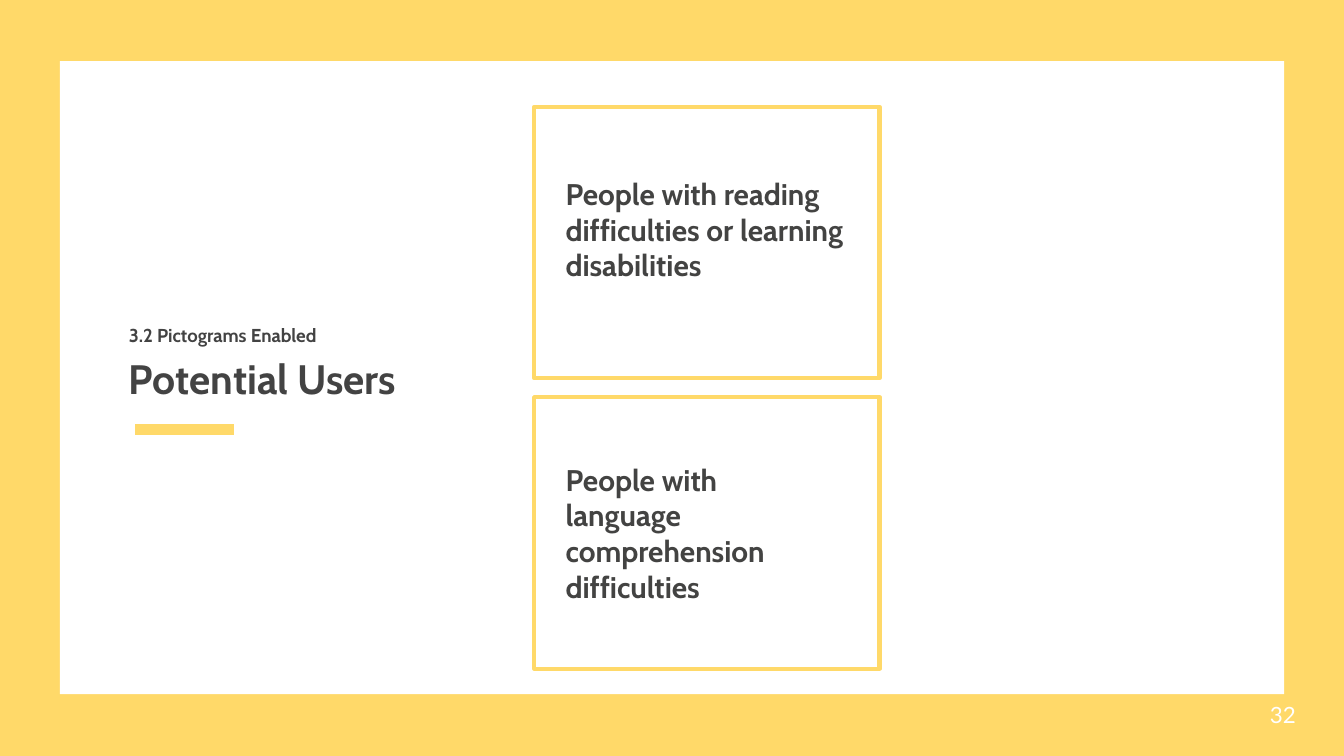
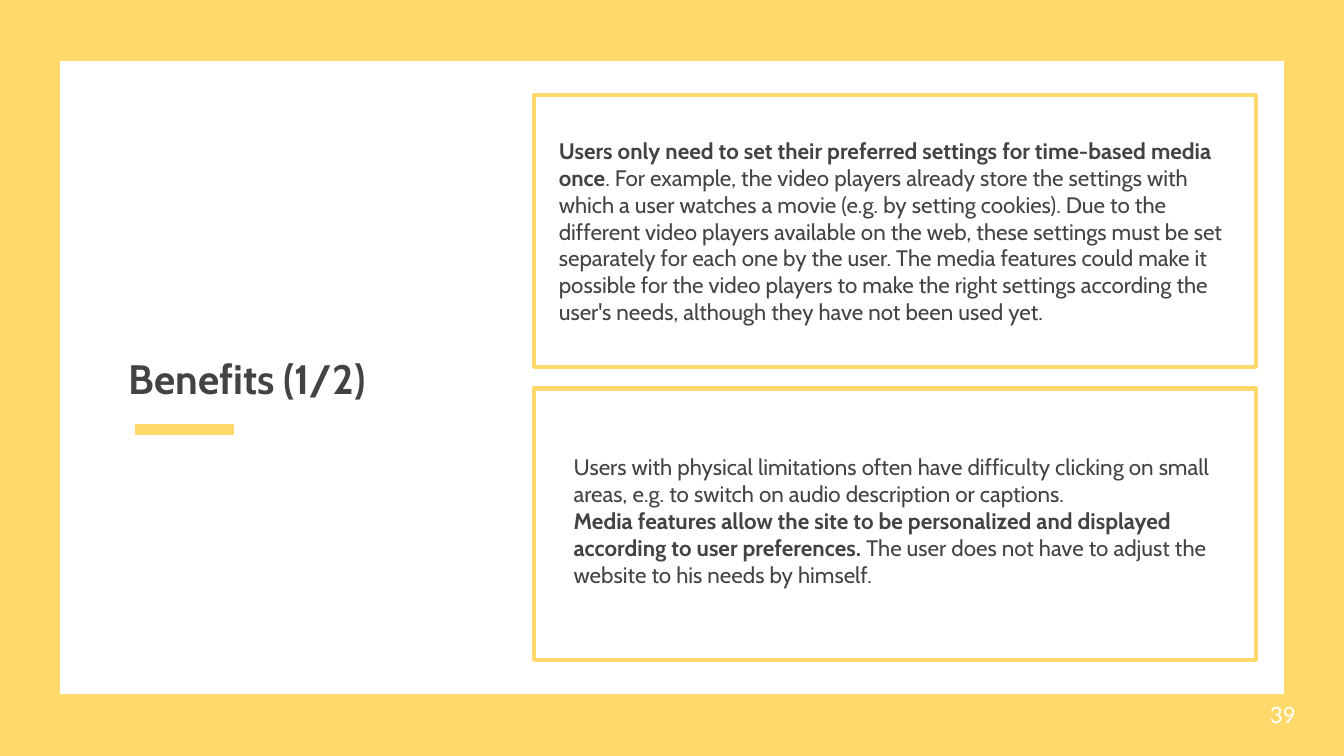
from lxml import etree
from pptx import Presentation
from pptx.dml.color import RGBColor
from pptx.enum.shapes import MSO_CONNECTOR as CONNECTOR, MSO_SHAPE as SHAPE
from pptx.enum.text import MSO_ANCHOR as ANCHOR
from pptx.oxml.ns import qn
from pptx.util import Emu, Pt

PX = 4572  # 200 px to the inch
INSET = 20
COLORS = {"yellow": "FFD969", "white": "FFFFFF", "title": "434343", "body": "434342"}
FORMATS = {
    "title": {"size": Pt(22), "name": "Cabin"},
    "section": {"size": Pt(10), "name": "Cabin"},
    "statement": {"size": Pt(16), "name": "Cabin"},
    "body": {"size": Pt(12), "name": "Cabin"},
    "number": {"size": Pt(12), "name": "Lato"},
}
CARD_LEFT, CARD_HEIGHT = 795, 404
BREAK = "\n"

# Each text is (left, top, width, height), format, spans, extra bottom inset.
# A span is (wording, bold).
PAGES = [
    {
        "number": "32",
        "title": "Potential Users",
        "section": "3.2 Pictograms Enabled",
        "card_width": 514,
        "card_tops": [159, 591],
        "texts": [
            ((822, 206, 460, 310), "statement",
             [("People with reading difficulties or learning disabilities", True)], 40),
            ((822, 673, 436, 240), "statement",
             [("People with language comprehension difficulties", True)], 0),
        ],
    },
    {
        "number": "39",
        "title": "Benefits (1/2)",
        "section": None,
        "card_width": 1074,
        "card_tops": [142, 578],
        "texts": [
            ((812, 179, 1034, 330), "body", [
                ("Users only need to set their preferred settings for time-based media once", True),
                (". For example, the video players already store the settings with which a user "
                 "watches a movie (e.g. by setting cookies). Due to the different video players "
                 "available on the web, these settings must be set separately for each one by the "
                 "user. The media features could make it possible for the video players to make "
                 "the right settings according the user's needs, although they have not been used "
                 "yet.", False),
            ], 0),
            ((834, 606, 1012, 338), "body", [
                ("Users with physical limitations often have difficulty clicking on small areas, "
                 "e.g. to switch on audio description or captions. ", False),
                (BREAK, False),
                ("Media features allow the site to be personalized and displayed according to "
                 "user preferences. ", True),
                ("The user does not have to adjust the website to his needs by himself.", False),
            ], 0),
        ],
    },
]


def add_rectangle(page, area, fill=None, line=None):
    box = page.shapes.add_shape(SHAPE.RECTANGLE, *[Emu(v * PX) for v in area])
    box.shadow.inherit = False
    if fill:
        box.fill.solid()
        box.fill.fore_color.rgb = RGBColor.from_string(COLORS[fill])
    else:
        box.fill.background()
    if line:
        box.line.color.rgb = RGBColor.from_string(COLORS[line])
        box.line.width = Pt(2.25)
    else:
        box.line.fill.background()


def add_text(page, area, style, color, spans, anchor=ANCHOR.MIDDLE, extra_bottom=0):
    """Add a one-paragraph text box and return its paragraph."""
    frame = page.shapes.add_textbox(*[Emu(v * PX) for v in area]).text_frame
    frame.word_wrap = True
    frame.vertical_anchor = anchor
    for side in ("left", "top", "right", "bottom"):
        setattr(frame, f"margin_{side}", Emu(INSET * PX))
    frame.margin_bottom += extra_bottom * PX
    para = frame.paragraphs[0]
    for wording, bold in spans:
        if wording == BREAK:
            para.add_line_break()
            continue
        span = para.add_run()
        span.text = wording
        for key, value in {**FORMATS[style], "bold": bold}.items():
            setattr(span.font, key, value)
        span.font.color.rgb = RGBColor.from_string(COLORS[color])
    return para


deck = Presentation()
deck.slide_width, deck.slide_height = Emu(2000 * PX), Emu(1125 * PX)
blank = deck.slide_layouts[6]

for content in PAGES:
    page = deck.slides.add_slide(blank)
    page.background.fill.solid()
    page.background.fill.fore_color.rgb = RGBColor.from_string(COLORS["yellow"])
    add_rectangle(page, (89, 91, 1822, 942), fill="white")

    accent = page.shapes.add_connector(
        CONNECTOR.STRAIGHT, *[Emu(v * PX) for v in (201, 639, 348, 639)])
    accent.line.color.rgb = RGBColor.from_string(COLORS["yellow"])
    accent.line.width = Pt(6)
    etree.SubElement(accent.element.spPr, qn("a:effectLst"))

    for top in content["card_tops"]:
        card = (CARD_LEFT, top, content["card_width"], CARD_HEIGHT)
        add_rectangle(page, card, line="yellow")
    for area, style, spans, extra_bottom in content["texts"]:
        add_text(page, area, style, "body", spans, extra_bottom=extra_bottom)

    add_text(page, (1870, 1021, 120, 86), "number", "white", [(content["number"], False)])
    add_text(page, (172, 381, 556, 364), "title", "title", [(content["title"], True)])
    if content["section"]:
        section = add_text(page, (172, 458, 738, 74), "section", "title",
                           [(content["section"], True)], anchor=ANCHOR.TOP)
        section.line_spacing = 1.15

deck.save("out.pptx")
